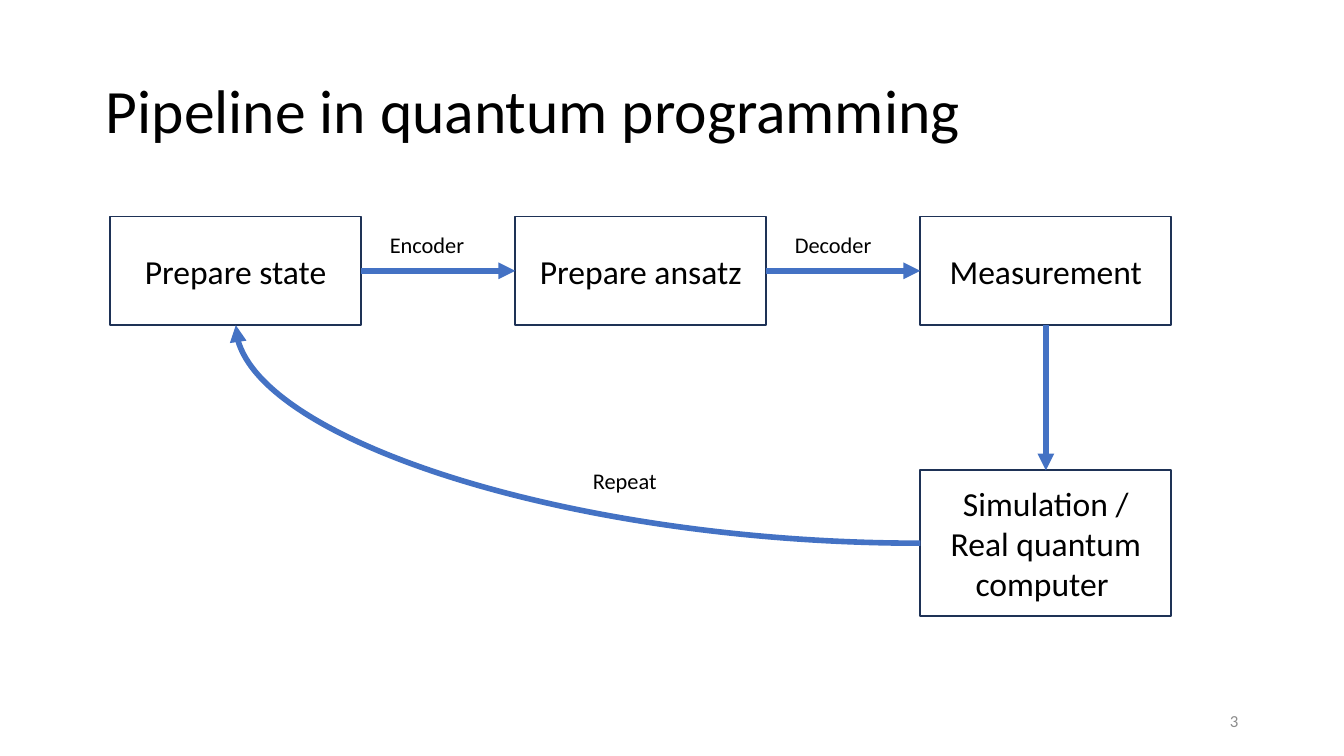
import pptx
import pptx.dml.color
import pptx.enum.shapes
import pptx.enum.text
import pptx.oxml
import pptx.oxml.ns
import pptx.util
from dataclasses import dataclass

Pt = pptx.util.Pt
ALIGN = pptx.enum.text.PP_ALIGN
ANCHOR = pptx.enum.text.MSO_ANCHOR
CONNECTOR = pptx.enum.shapes.MSO_CONNECTOR
TOP, LEFT, BOTTOM, RIGHT = range(4)


@dataclass(frozen=True)
class Theme:
    font: str = "Calibri"
    text: str = "000000"
    muted: str = "8C8C8C"
    outline: str = "1E3256"
    arrow: str = "4472C4"
    title_size: float = 33
    box_size: float = 18
    label_size: float = 12
    number_size: float = 9
    outline_width: float = 1
    arrow_width: float = 3


THEME = Theme()

# Box grid, in points
BOX_LEFT, BOX_TOP, BOX_PITCH = 59, 116, 217
BOX_WIDTH, BOX_HEIGHT = 134.6, 58.2
LOWER_TOP, LOWER_HEIGHT = 252, 78
LABEL_WIDTH, LABEL_HEIGHT = 66.2, 21.8


def rgb(value):
    return pptx.dml.color.RGBColor.from_string(value)


def set_values(target, values):
    for name, value in values.items():
        setattr(target, name, value)


def write(shape, text, size, color=THEME.text, anchor=ANCHOR.MIDDLE, **paragraph_format):
    frame = shape.text_frame
    set_values(frame, {"text": text, "word_wrap": True, "vertical_anchor": anchor})
    paragraph = frame.paragraphs[0]
    set_values(paragraph, paragraph_format)
    set_values(paragraph.font, {"name": THEME.font, "size": Pt(size)})
    paragraph.font.color.rgb = rgb(color)


def add_title(slide, text):
    title = slide.shapes.title
    set_values(title, {"left": Pt(49.5), "top": Pt(21.6),
                       "width": Pt(621), "height": Pt(78.3)})
    write(title, text, THEME.title_size, alignment=ALIGN.LEFT, line_spacing=0.9)


def add_text(slide, text, left, top, width, height, size, **text_format):
    box = slide.shapes.add_textbox(Pt(left), Pt(top), Pt(width), Pt(height))
    write(box, text, size, **text_format)


def add_label(slide, text, left, top):
    add_text(slide, text, left, top, LABEL_WIDTH, LABEL_HEIGHT,
             THEME.label_size, anchor=ANCHOR.TOP)


def add_box(slide, text, left, top, height):
    box = slide.shapes.add_shape(pptx.enum.shapes.MSO_SHAPE.RECTANGLE,
                                 Pt(left), Pt(top), Pt(BOX_WIDTH), Pt(height))
    box.shadow.inherit = False
    box.fill.background()
    box.line.color.rgb = rgb(THEME.outline)
    box.line.width = Pt(THEME.outline_width)
    write(box, text, THEME.box_size, alignment=ALIGN.CENTER)
    return box


def style_arrow(connector):
    connector.line.color.rgb = rgb(THEME.arrow)
    connector.line.width = Pt(THEME.arrow_width)
    head = pptx.oxml.parse_xml(
        f'<a:tailEnd {pptx.oxml.ns.nsdecls("a")} type="triangle"/>')
    connector.line._get_or_add_ln().append(head)
    connector._element.spPr.append(
        pptx.oxml.parse_xml(f'<a:effectLst {pptx.oxml.ns.nsdecls("a")}/>'))


def add_arrow(slide, start, start_side, end, end_side):
    arrow = slide.shapes.add_connector(CONNECTOR.STRAIGHT, 0, 0, 0, 0)
    arrow.begin_connect(start, start_side)
    arrow.end_connect(end, end_side)
    style_arrow(arrow)


def add_return_curve(slide, start, end):
    """Curve from the left side of start up to the bottom of end."""
    curve = slide.shapes.add_connector(
        CONNECTOR.CURVE, end.left + end.width // 2, end.top + end.height,
        start.left, start.top + start.height // 2)
    # A quarter curve, turned half round so that it runs left and then up
    properties = curve._element.spPr
    properties.find(pptx.oxml.ns.qn("a:prstGeom")).set("prst", "curvedConnector2")
    properties.find(pptx.oxml.ns.qn("a:xfrm")).set("rot", "10800000")
    style_arrow(curve)


def main():
    presentation = pptx.Presentation()
    set_values(presentation, {"slide_width": Pt(720), "slide_height": Pt(405)})
    slide = presentation.slides.add_slide(presentation.slide_layouts[5])

    # Title and slide number
    add_title(slide, "Pipeline in quantum programming")
    add_text(slide, "3", 508.5, 375.4, 162, 21.6, THEME.number_size,
             color=THEME.muted, alignment=ALIGN.RIGHT)

    # Pipeline boxes
    steps = [add_box(slide, text, BOX_LEFT + index * BOX_PITCH, BOX_TOP, BOX_HEIGHT)
             for index, text in enumerate(
                 ["Prepare state", "Prepare ansatz", "Measurement"])]
    computer = add_box(slide, "Simulation / Real quantum computer ",
                       BOX_LEFT + 2 * BOX_PITCH, LOWER_TOP, LOWER_HEIGHT)

    # Arrows between the steps, each with its label centred in the gap
    label_offset = BOX_WIDTH + (BOX_PITCH - BOX_WIDTH - LABEL_WIDTH) / 2
    for index, label in enumerate(["Encoder", "Decoder"]):
        add_arrow(slide, steps[index], RIGHT, steps[index + 1], LEFT)
        add_label(slide, label, BOX_LEFT + index * BOX_PITCH + label_offset, 120.4)

    # Run and repeat
    add_arrow(slide, steps[2], BOTTOM, computer, TOP)
    add_return_curve(slide, computer, steps[0])
    add_label(slide, "Repeat", 310.5, 246.5)

    presentation.save("out.pptx")


if __name__ == "__main__":
    main()
